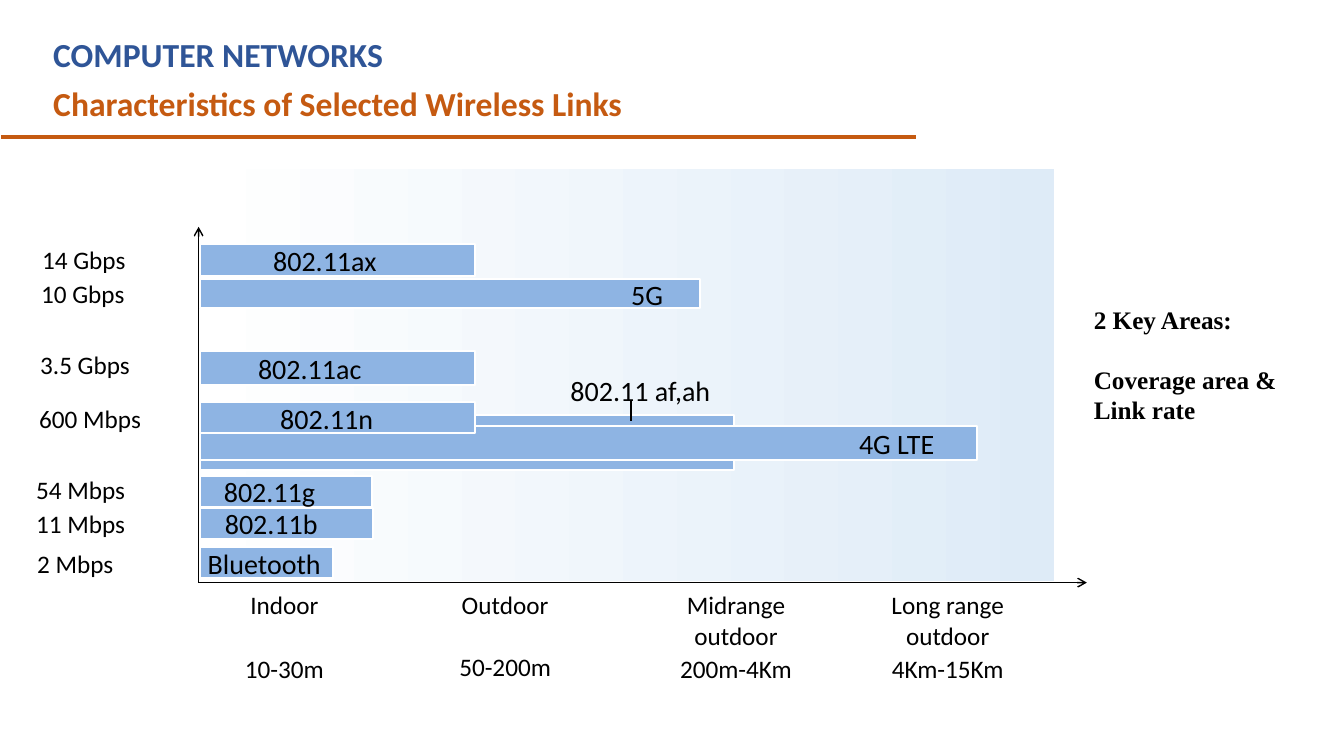
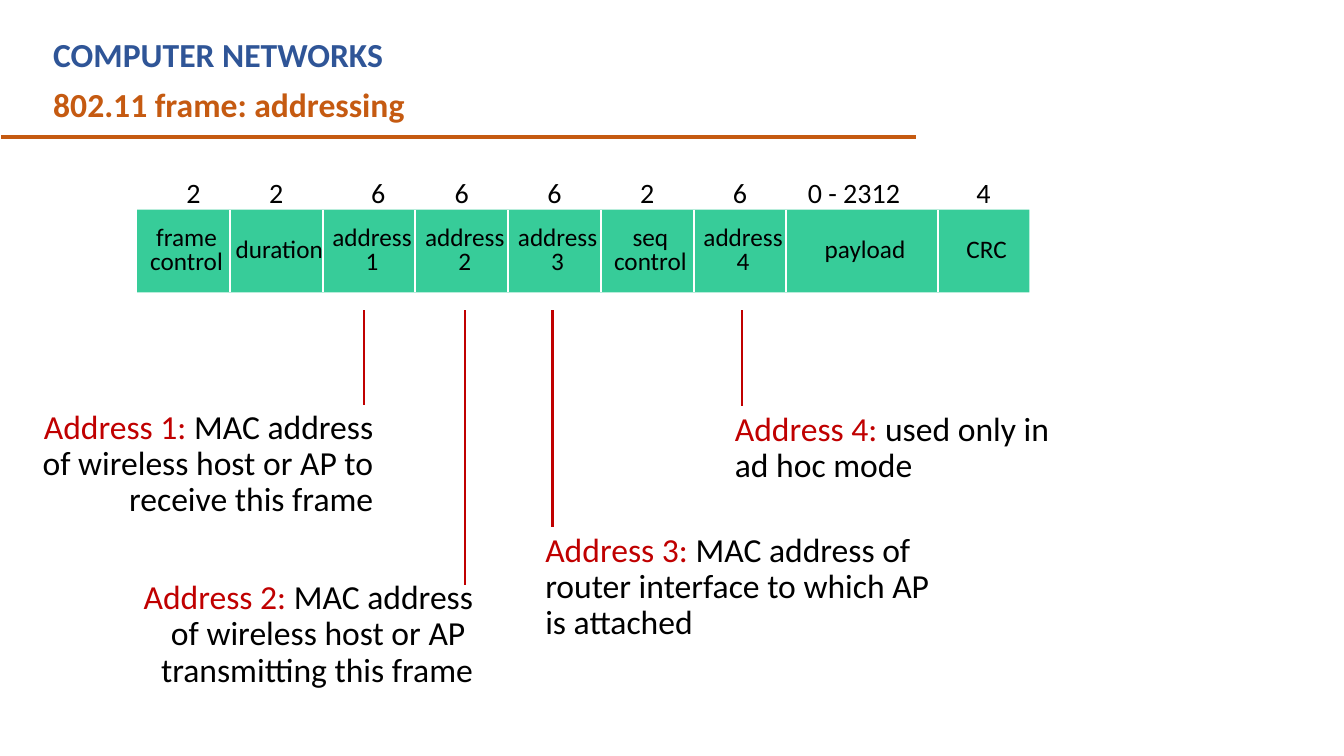
from dataclasses import dataclass

from pptx import Presentation
from pptx import util as u
from pptx.dml.color import RGBColor
from pptx.enum import shapes, text
from pptx.oxml.ns import qn
from lxml import etree


@dataclass(frozen=True)
class Theme:
    font: str = "Calibri"
    serif: str = "Times New Roman"
    blue: str = "2F5597"
    orange: str = "C55A11"
    black: str = "000000"
    white: str = "FFFFFF"
    red: str = "C00000"
    bar: str = "8EB4E3"
    haze: str = "DEEBF7"
    frame: str = "37CC99"
    title: int = 24
    label: int = 20
    small: int = 18


THEME = Theme()
LEFT, CENTER, RIGHT = text.PP_ALIGN.LEFT, text.PP_ALIGN.CENTER, text.PP_ALIGN.RIGHT
TOP, MIDDLE = text.MSO_ANCHOR.TOP, text.MSO_ANCHOR.MIDDLE

COURSE = "COMPUTER NETWORKS"

# Wireless links: name, name inset, top, length, height, (rate, left, top, width)
LINKS = [
    ("", 0, 4.12, 5.3, 0.54, None),
    ("4G LTE", 6.54, 4.23, 7.71, 0.33, None),
    ("802.11ac", 0.58, 3.48, 2.73, 0.34, ("3.5 Gbps", 0.3, 3.42, 1.1)),
    ("802.11n", 0.8, 3.99, 2.73, 0.31, ("600 Mbps", 0.29, 3.95, 1.22)),
    ("802.11g", 0.24, 4.72, 1.71, 0.31, ("54 Mbps", 0.26, 4.66, 1.1)),
    ("802.11b", 0.25, 5.04, 1.72, 0.31, ("11 Mbps", 0.26, 4.99, 1.1)),
    ("Bluetooth", 0.08, 5.43, 1.32, 0.31, ("2 Mbps", 0.27, 5.39, 0.97)),
    ("802.11ax", 0.73, 2.42, 2.73, 0.32, ("14 Gbps", 0.32, 2.37, 1.04)),
    ("5G", 4.28, 2.77, 4.96, 0.29, ("10 Gbps", 0.31, 2.71, 1.04)),
]
# Coverage: centre, lines of the name, its width, distance, its width and top
RANGES = [
    (2.82, ["Indoor"], 0.89, "10-30m", 0.99, 6.43),
    (5.01, ["Outdoor"], 1.07, "50-200m", 1.12, 6.41),
    (7.3, ["Midrange", "outdoor"], 1.2, "200m-4Km", 1.33, 6.43),
    (9.4, ["Long range", "outdoor"], 1.34, "4Km-15Km", 1.33, 6.43),
]
KEY_AREAS = ["2 Key Areas:", "Coverage area &", "Link rate"]

# Frame fields: bytes, shift of the byte count, lines of the name, width
FIELDS = [
    ("2", 0.1, ["frame", "control"], 0.92),
    ("2", 0, ["duration"], 0.92),
    ("6", 0.09, ["address", "1"], 0.92),
    ("6", 0, ["address", "2"], 0.92),
    ("6", 0, ["address", "3"], 0.92),
    ("2", 0, ["seq", "control"], 0.92),
    ("6", 0, ["address", "4"], 0.92),
    ("0 - 2312", -0.08, ["payload"], 1.5),
    ("4", 0, ["CRC"], 0.91),
]
# Address notes: term, lines, box, alignment, pointer x, pointer end
NOTES = [
    ("Address 1: ", ["MAC address of wireless host or AP to receive this frame"],
     (0.09, 4.02, 3.71, 1.19), RIGHT, 3.61, 4.02),
    ("Address 4: ", ["used only in ad hoc mode"],
     (7.19, 4.04, 3.54, 0.83), LEFT, 7.36, 4.03),
    ("Address 2: ", ["MAC address", "of wireless host or AP ", "transmitting this frame"],
     (1.29, 5.71, 3.5, 1.19), RIGHT, 4.61, 5.8),
    ("Address 3: ", ["MAC address of router interface to which AP is attached"],
     (5.31, 5.24, 4.22, 1.19), LEFT, 5.48, 5.23),
]


def rgb(color):
    return RGBColor.from_string(color)


def inches(values):
    return [u.Inches(value) for value in values]


def style(span, size, color=THEME.black, bold=False, font=THEME.font):
    span.font.name, span.font.size, span.font.bold = font, u.Pt(size), bold
    span.font.color.rgb = rgb(color)


def write(box, lines, size, color=THEME.black, align=LEFT, anchor=TOP,
          bold=False, font=THEME.font, spacing=None, wrap=True):
    frame = box.text_frame
    frame.word_wrap, frame.vertical_anchor = wrap, anchor
    frame.text = "\n".join(lines)
    for para in frame.paragraphs:
        para.alignment = align
        if spacing:
            para.line_spacing = spacing
        for span in para.runs:
            style(span, size, color, bold, font)


def add_text(page, at, lines, size, **options):
    box = page.shapes.add_textbox(*inches(at))
    write(box, lines, size, **options)
    return box


def add_line(page, start, end, color, width, arrow=False):
    line = page.shapes.add_connector(shapes.MSO_CONNECTOR.STRAIGHT, *inches(start + end))
    line.line.color.rgb = rgb(color)
    line.line.width = u.Pt(width)
    properties = line.element.spPr
    if arrow:
        etree.SubElement(properties.find(qn("a:ln")), qn("a:tailEnd"), type="arrow")
    etree.SubElement(properties, qn("a:effectLst"))


def add_rect(page, at, fill=None, outline=None):
    rect = page.shapes.add_shape(shapes.MSO_SHAPE.RECTANGLE, *inches(at))
    rect.shadow.inherit = False
    if fill:
        rect.fill.solid()
        rect.fill.fore_color.rgb = rgb(fill)
    if outline:
        rect.line.color.rgb = rgb(outline)
        rect.line.width = u.Pt(1.5)
    else:
        rect.line.fill.background()
    return rect


def add_axis_label(page, at, lines, align=LEFT):
    write(add_rect(page, at, THEME.white), lines, THEME.small, align=align, wrap=False)


def add_page(deck, title, title_top):
    page = deck.slides.add_slide(deck.slide_layouts[6])
    for top, line, color in ((0.29, COURSE, THEME.blue), (title_top, title, THEME.orange)):
        add_text(page, (0.43, top, 8.2, 0.5), [line], THEME.title, color=color, bold=True)
    add_line(page, (0.01, 1.36), (9.09, 1.36), THEME.orange, 3)
    return page


def add_link(page, axis, name, inset, top, length, height, rate):
    """Draw one bar with its name inside and its rate left of the axis."""
    bar = add_rect(page, (axis, top, length, height), THEME.bar, THEME.white)
    if name:
        frame = bar.text_frame
        frame.margin_left = u.Inches(inset)
        frame.margin_right = frame.margin_top = frame.margin_bottom = 0
        write(bar, [name], THEME.label, anchor=MIDDLE)
    if rate:
        label, left, label_top, width = rate
        add_axis_label(page, (left, label_top, width, 0.4), [label])


def build_links(deck):
    page = add_page(deck, "Characteristics of Selected Wireless Links", 0.77)
    axis, base = 1.97, 5.78
    haze = add_rect(page, (1.91, 1.68, 8.54, 4.08))
    haze.fill.gradient()
    haze.fill.gradient_angle = 0
    for stop, color in zip(haze.fill.gradient_stops, (THEME.white, THEME.haze)):
        stop.color.rgb = rgb(color)
    for center, name, name_width, distance, width, distance_top in RANGES:
        for top, lines, wide in ((5.8, name, name_width), (distance_top, [distance], width)):
            height = 0.1 + 0.3 * len(lines)
            add_axis_label(page, (center - wide / 2, top, wide, height), lines, CENTER)
    for link in LINKS:
        add_link(page, axis + 0.01, *link)
    add_text(page, (5.56, 3.66, 1.62, 0.44), ["802.11 af,ah"], THEME.label, wrap=False)
    add_line(page, (6.26, 3.98), (6.26, 4.18), THEME.black, 1)
    for end in ((10.78, base), (axis, 2.25)):
        add_line(page, (axis, base), end, THEME.black, 1, arrow=True)
    areas = add_text(page, (10.75, 2.97, 2.31, 1.31), KEY_AREAS, THEME.small,
                     bold=True, font=THEME.serif)
    areas.text_frame.paragraphs[0].space_after = u.Pt(21)


def build_frame(deck):
    page = add_page(deck, "802.11 frame: addressing", 0.78)
    left, top, height = 1.36, 2.08, 0.82
    add_rect(page, (left, top, sum(field[-1] for field in FIELDS), height), THEME.frame)
    for index, (count, shift, name, width) in enumerate(FIELDS):
        if index:
            add_line(page, (left, top), (left, top + height), THEME.white, 1.5)
        add_text(page, (left + shift, 1.69, width, 0.44), [count], THEME.label,
                 align=CENTER, wrap=False)
        field = add_text(page, (left + 0.03, 2.16, width, 0.67), name, THEME.small,
                         align=CENTER, anchor=MIDDLE, spacing=0.8, wrap=False)
        field.text_frame.margin_left = field.text_frame.margin_right = 0
        left += width
    for term, lines, at, align, pointer, end in NOTES:
        box = add_text(page, at, [term, *lines[1:]], THEME.title, align=align, spacing=0.9)
        first = box.text_frame.paragraphs[0]
        first.runs[0].font.color.rgb = rgb(THEME.red)
        span = first.add_run()
        span.text = lines[0]
        style(span, THEME.title)
        add_line(page, (pointer, 3.08), (pointer, end), THEME.red, 1.5)


def main():
    deck = Presentation()
    deck.slide_width, deck.slide_height = inches((13.33, 7.5))
    build_links(deck)
    build_frame(deck)
    deck.save("out.pptx")


if __name__ == "__main__":
    main()
